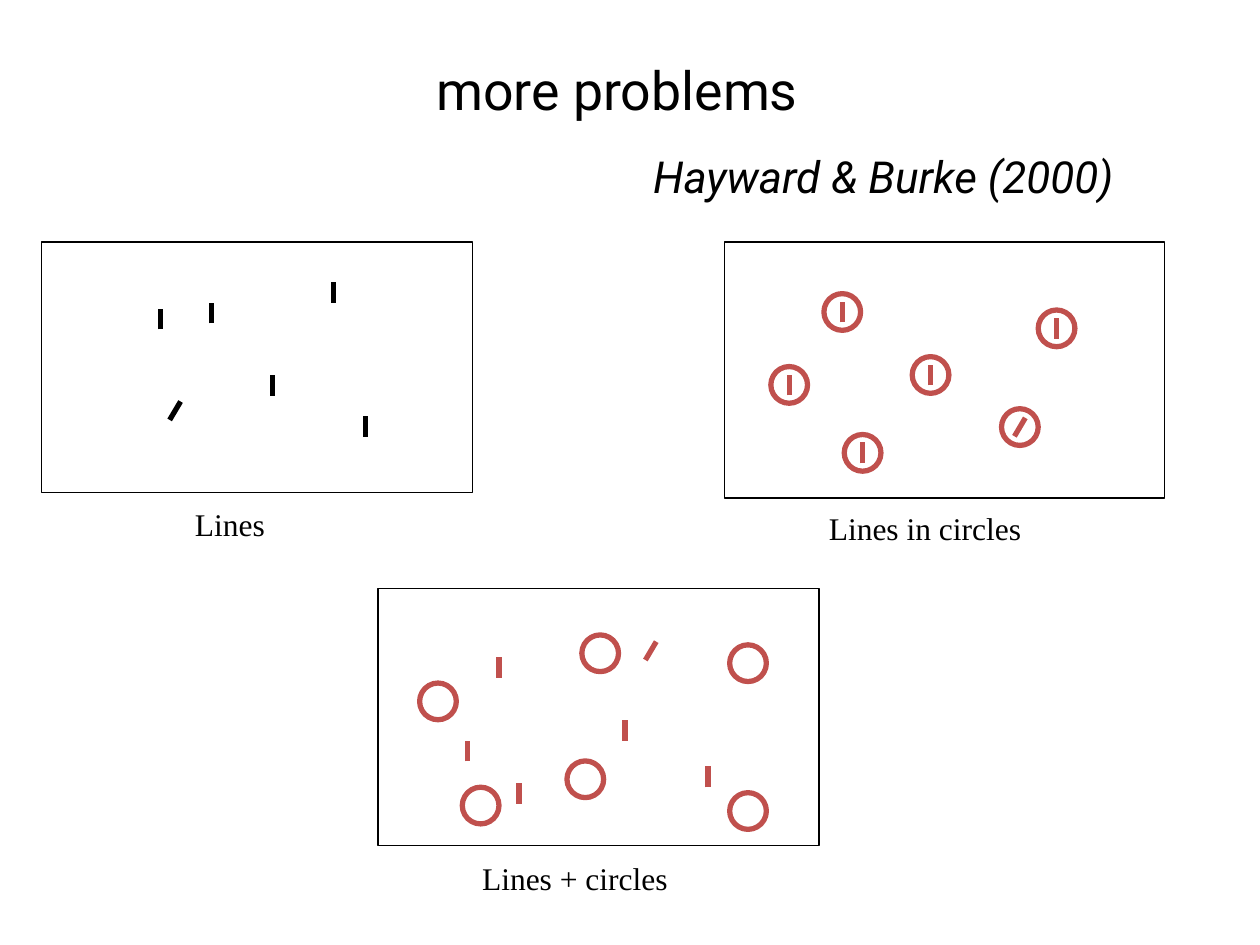
from pptx import Presentation
from pptx.dml.color import RGBColor
from pptx.enum.shapes import MSO_CONNECTOR, MSO_SHAPE
from pptx.enum.text import MSO_ANCHOR, PP_ALIGN
from pptx.oxml.ns import qn
from pptx.util import Cm, Pt
from lxml import etree

STRAIGHT = MSO_CONNECTOR.STRAIGHT
RECTANGLE, OVAL = MSO_SHAPE.RECTANGLE, MSO_SHAPE.OVAL
TOP, MIDDLE = MSO_ANCHOR.TOP, MSO_ANCHOR.MIDDLE
LEFT, CENTER = PP_ALIGN.LEFT, PP_ALIGN.CENTER

BLACK, WHITE, RED = "000000", "FFFFFF", "C0504D"
DIAMETER = 0.74
UPRIGHT, TILTED = (0, 0.42), (0.22, 0.37)

HEADINGS = [
    ("more problems", (0.84, 0.79, 23.2, 2), {"size": 30.6}),
    ("Hayward & Burke (2000)", (11.81, 2.55, 12, 2), {"size": 25.2, "italic": True}),
]

CIRCLED_BARS = [(16.98, 6.29), (15.91, 7.76), (18.76, 7.56), (21.3, 6.62), (17.39, 9.13)]
CIRCLED_TARGET = (20.56, 8.61)

PANELS = [
    {
        "frame": (0.84, 4.88, 8.69, 5.05),
        "caption": ("Lines", (3.68, 10.06, 2.39, 1.27)),
        "color": BLACK,
        "bars": [(3.23, 6.43), (4.27, 6.31), (5.49, 7.77), (6.73, 5.89), (7.37, 8.59)],
        "target": (3.53, 8.28),
        "circles": [],
    },
    {
        "frame": (14.61, 4.88, 8.86, 5.16),
        "caption": ("Lines in circles", (16.46, 10.13, 5.69, 1.27)),
        "color": RED,
        "bars": CIRCLED_BARS,
        "target": CIRCLED_TARGET,
        "circles": CIRCLED_BARS + [CIRCLED_TARGET],
    },
    {
        "frame": (7.62, 11.86, 8.89, 5.18),
        "caption": ("Lines + circles", (9.47, 17.2, 5.51, 1.27)),
        "color": RED,
        "bars": [(10.06, 13.45), (10.46, 15.99), (9.42, 15.14), (12.6, 14.72), (14.27, 15.66)],
        "target": (13.12, 13.12),
        "circles": [(11.8, 15.71), (12.1, 13.17), (15.08, 16.35),
                    (9.69, 16.24), (8.83, 14.14), (15.08, 13.37)],
    },
]


def rgb(value):
    return RGBColor.from_string(value)


def add_text(page, text, place, size=18, font="Roboto", italic=False,
             align=CENTER, anchor=MIDDLE):
    box = page.shapes.add_textbox(*map(Cm, place))
    frame = box.text_frame
    frame.word_wrap = True
    frame.vertical_anchor = anchor
    para = frame.paragraphs[0]
    para.alignment = align
    span = para.add_run()
    span.text = text
    span.font.size = Pt(size)
    span.font.name = font
    span.font.italic = italic
    span.font.color.rgb = rgb(BLACK)


def add_outline(page, kind, place, color, width, fill=None):
    shape = page.shapes.add_shape(kind, *map(Cm, place))
    shape.shadow.inherit = False
    if fill:
        shape.fill.solid()
        shape.fill.fore_color.rgb = rgb(fill)
    else:
        shape.fill.background()
    shape.line.color.rgb = rgb(color)
    shape.line.width = Pt(width)


def add_bar(page, center, span, color):
    (x, y), (run, rise) = center, span
    ends = (x - run / 2, y + rise / 2, x + run / 2, y - rise / 2)
    bar = page.shapes.add_connector(STRAIGHT, *map(Cm, ends))
    bar.line.color.rgb = rgb(color)
    bar.line.width = Pt(3)
    etree.SubElement(bar.element.spPr, qn("a:effectLst"))


def add_panel(page, panel):
    color = panel["color"]
    add_outline(page, RECTANGLE, panel["frame"], BLACK, 0.75, fill=WHITE)
    for center in panel["bars"]:
        add_bar(page, center, UPRIGHT, color)
    add_bar(page, panel["target"], TILTED, color)
    for x, y in panel["circles"]:
        place = (x - DIAMETER / 2, y - DIAMETER / 2, DIAMETER, DIAMETER)
        add_outline(page, OVAL, place, color, 3)
    text, place = panel["caption"]
    add_text(page, text, place, font="Times New Roman", align=LEFT, anchor=TOP)


def main():
    """Build the slide comparing three visual search displays."""
    deck = Presentation()
    deck.slide_width, deck.slide_height = Cm(25.4), Cm(19.05)
    page = deck.slides.add_slide(deck.slide_layouts[6])
    for text, place, style in HEADINGS:
        add_text(page, text, place, **style)
    for panel in PANELS:
        add_panel(page, panel)
    deck.save("out.pptx")


main()
